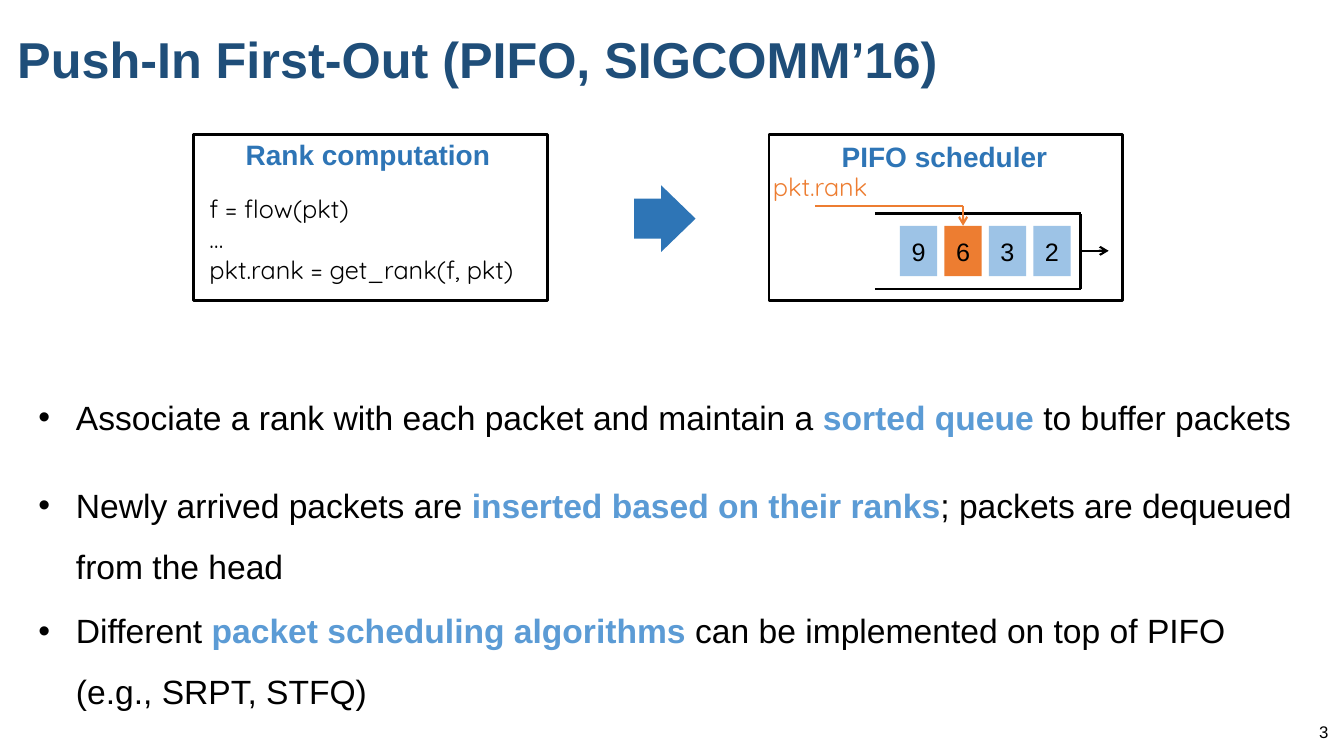
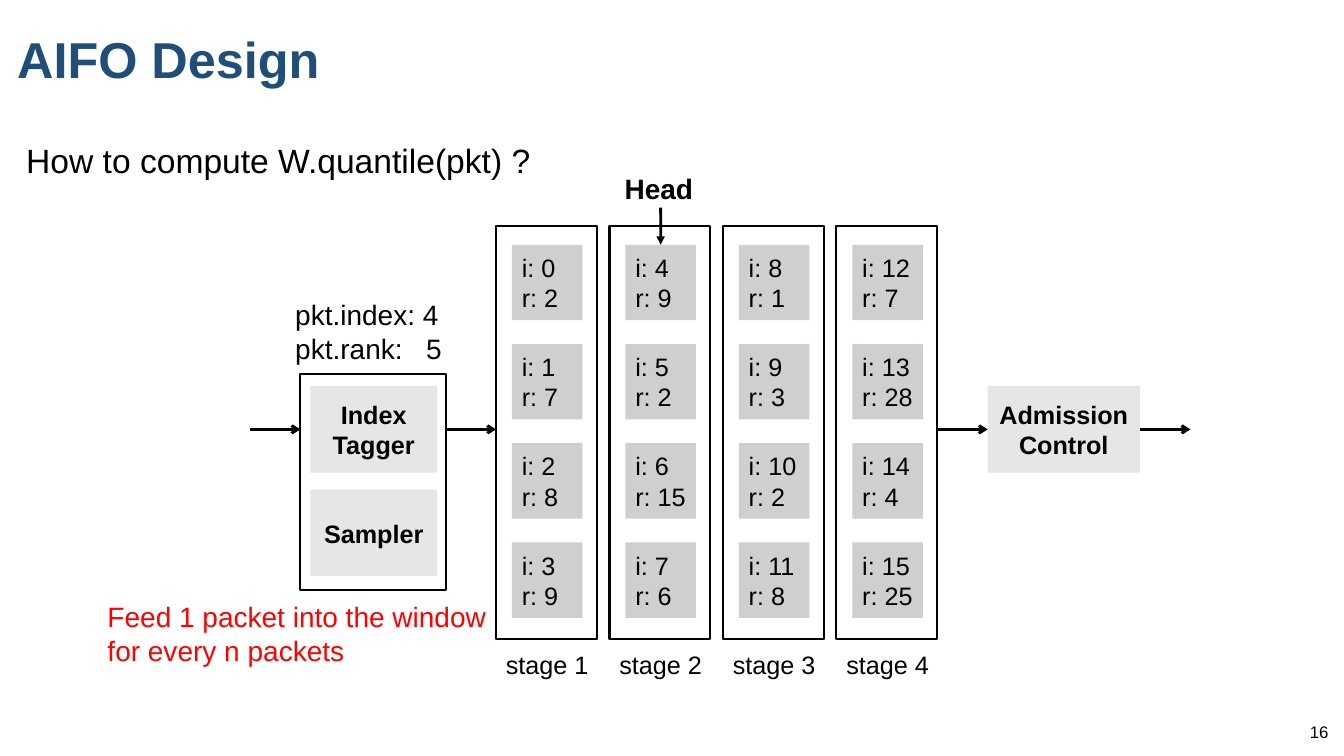
"""Build two slides on PIFO and AIFO packet scheduling."""
import pptx
import pptx.util
import pptx.dml.color
import pptx.enum.shapes
import pptx.enum.text
import pptx.oxml.ns
from lxml import etree

Cm, Pt = pptx.util.Cm, pptx.util.Pt
SHAPE = pptx.enum.shapes.MSO_SHAPE
ALIGN = pptx.enum.text.PP_ALIGN
ANCHOR = pptx.enum.text.MSO_ANCHOR
AUTO = pptx.enum.text.MSO_AUTO_SIZE
qn = pptx.oxml.ns.qn

COLORS = {
    "black": "000000", "title": "1F4E79", "heading": "2E75B6",
    "accent": "5B9BD5", "packet": "9DC3E6", "orange": "ED7D31",
    "cell": "D0CECE", "module": "E7E6E6", "red": "FF0000",
}
TOP, LEFT, RIGHT = 0, 1, 3


def rgb(name):
    return pptx.dml.color.RGBColor.from_string(COLORS[name])


class Deck:
    """Hold the shared style and the current slide."""

    def __init__(self):
        self.prs = pptx.Presentation()
        self.prs.slide_width, self.prs.slide_height = Cm(33.87), Cm(19.05)
        self.s = None

    def slide(self, layout, title, number):
        self.s = self.prs.slides.add_slide(self.prs.slide_layouts[layout])
        tf = self.place(self.s.shapes.title, 0.18, -0.28, 31.19, 3.68)
        tf.vertical_anchor = ANCHOR.MIDDLE
        p = tf.paragraphs[0]
        p.alignment, p.line_spacing = ALIGN.LEFT, 0.9
        self.run(p, title, 36, "title", True)
        tf = self.text([number], 26.11, 17.93, 7.62, 1.02, 12)
        tf.vertical_anchor = ANCHOR.MIDDLE
        tf.paragraphs[0].alignment = ALIGN.RIGHT

    def place(self, sp, x, y, w, h):
        sp.left, sp.top, sp.width, sp.height = Cm(x), Cm(y), Cm(w), Cm(h)
        tf = sp.text_frame
        tf.word_wrap, tf.auto_size = True, AUTO.NONE
        return tf

    def run(self, p, text, size, color="black", bold=False, font="Arial"):
        r = p.add_run()
        r.text = text
        r.font.size, r.font.bold, r.font.name = Pt(size), bold, font
        r.font.color.rgb = rgb(color)

    def lines(self, tf, lines, *style, align=ALIGN.LEFT):
        for i, line in enumerate(lines):
            p = tf.add_paragraph() if i else tf.paragraphs[0]
            p.alignment = align
            self.run(p, line, *style)

    def text(self, lines, x, y, w, h, *style):
        tf = self.s.shapes.add_textbox(Cm(x), Cm(y), Cm(w), Cm(h)).text_frame
        tf.word_wrap, tf.auto_size = False, AUTO.SHAPE_TO_FIT_TEXT
        self.lines(tf, lines, *style)
        return tf

    def bullets(self, items, x, y, w, h):
        tf = self.place(self.s.placeholders[1], x, y, w, h)
        tf.vertical_anchor = ANCHOR.TOP
        for i, (before, key, after, gap) in enumerate(items):
            p = tf.add_paragraph() if i else tf.paragraphs[0]
            pPr = p._p.get_or_add_pPr()
            pPr.set("marL", str(Cm(0.95)))
            pPr.set("indent", str(-Cm(0.95)))
            etree.SubElement(pPr, qn("a:buChar"), char="•")
            p.line_spacing, p.space_before = 1.5, Pt(gap)
            self.run(p, before, 24)
            self.run(p, key, 24, "accent", True)
            self.run(p, after, 24)

    def shape(self, x, y, w, h, fill=None, line=None, kind=SHAPE.RECTANGLE):
        sp = self.s.shapes.add_shape(kind, Cm(x), Cm(y), Cm(w), Cm(h))
        sp.shadow.inherit = False
        if fill:
            sp.fill.solid()
            sp.fill.fore_color.rgb = rgb(fill)
        else:
            sp.fill.background()
        if line:
            sp.line.color.rgb, sp.line.width = rgb("black"), Pt(line)
        else:
            sp.line.fill.background()
        return sp

    def box(self, lines, x, y, w, h, fill, bold=False, align=ALIGN.CENTER):
        sp = self.shape(x, y, w, h, fill)
        tf = sp.text_frame
        tf.vertical_anchor = ANCHOR.MIDDLE
        if align == ALIGN.LEFT:
            tf.margin_right = 0
        self.lines(tf, lines, 18, "black", bold, align=align)
        return sp

    def line(self, x1, y1, x2, y2, width=1.5, color="black", head=None,
             begin=None, end=None):
        c = self.s.shapes.add_connector(
            pptx.enum.shapes.MSO_CONNECTOR.STRAIGHT,
            Cm(x1), Cm(y1), Cm(x2), Cm(y2))
        if begin:
            c.begin_connect(*begin)
        if end:
            c.end_connect(*end)
        c.line.color.rgb, c.line.width = rgb(color), Pt(width)
        if head:
            etree.SubElement(c.line._get_or_add_ln(), qn("a:tailEnd"), type=head)
        etree.SubElement(c._element.spPr, qn("a:effectLst"))


def pifo(d):
    d.slide(1, "Push-In First-Out (PIFO, SIGCOMM’16)", "3")
    d.bullets([
        ("Associate a rank with each packet and maintain a ",
         "sorted queue ", "to buffer packets", 0),
        ("Newly arrived packets are ", "inserted based on their ranks",
         "; packets are dequeued from the head", 20),
        ("Different ", "packet scheduling algorithms ",
         "can be implemented on top of PIFO (e.g., SRPT, STFQ)", 3),
    ], 0.71, 9.36, 32.44, 8.7)

    for x in (4.88, 19.38):
        d.shape(x, 3.39, 8.92, 4.19, line=2)
    d.text(["Rank computation"], 5.94, 3.35, 6.73, 1.12, 20, "heading", True)
    d.text(["PIFO scheduler"], 20.96, 3.38, 5.74, 1.12, 20, "heading", True)
    d.text(["f = flow(pkt)", "…", "pkt.rank = get_rank(f, pkt)"],
           5.03, 4.75, 8.53, 2.57, 18, "black", False, "Quicksand")
    d.text(["pkt.rank"], 19.23, 4.19, 3.12, 1.02, 18, "orange", False, "Quicksand")
    arrow = d.shape(15.98, 4.67, 1.55, 1.68, "heading", kind=SHAPE.RIGHT_ARROW)
    arrow.adjustments[0], arrow.adjustments[1] = 0.6, 0.56

    left, right, top, bottom = 22.05, 27.23, 5.38, 7.29
    d.line(left, top, right, top)
    d.line(left, bottom, right, bottom)
    d.line(right, bottom, right, top)
    d.line(right, 6.32, 27.94, 6.32, head="arrow")

    packets = {}
    for i, rank in enumerate("9632"):
        fill = "orange" if rank == "6" else "packet"
        packets[rank] = d.box([rank], 22.68 + 1.12 * i, 5.69, 0.94, 1.27, fill)
    d.line(20.55, 5.18, 24.27, 5.18, color="orange")
    d.line(24.27, 5.18, 24.27, 5.69, color="orange", head="arrow",
           end=(packets["6"], TOP))


def aifo(d):
    d.slide(5, "AIFO Design", "16")
    d.text(["How to compute W.quantile(pkt) ?"], 0.41, 3.4, 13.34, 1.27, 24)

    stages = [(2, 7, 8, 9), (9, 2, 15, 6), (1, 3, 2, 8), (7, 28, 4, 25)]
    cells = []
    for i, ranks in enumerate(stages):
        x = 12.5 + 2.86 * i
        d.shape(x, 5.69, 2.54, 10.41, line=1.5)
        d.text([f"stage {i + 1}"], x, 16.23, 2.62, 1.02, 18)
        for j, rank in enumerate(ranks):
            cells.append(d.box([f"i: {len(cells)}", f"r: {rank}"], x + 0.4,
                               6.17 + 2.5 * j, 1.78, 1.9, "cell",
                               align=ALIGN.LEFT))
    d.text(["Head"], 15.49, 4.19, 2.26, 1.12, 20, "black", True)
    d.line(16.65, 5.23, 16.65, 6.17, 2, head="triangle", end=(cells[4], TOP))

    d.shape(7.57, 9.42, 3.68, 5.44, line=1.5)
    d.box(["Index", "Tagger"], 7.82, 9.73, 3.2, 2.18, "module", True)
    d.box(["Sampler"], 7.82, 12.34, 3.2, 2.18, "module", True)
    admission = d.box(["Admission", "Control"], 24.89, 9.73, 3.84, 2.18,
                      "module", True)
    y = 10.82
    d.line(6.3, y, 7.57, y, 2, head="arrow")
    d.line(11.25, y, 12.5, y, 2, head="arrow")
    d.line(23.62, y, 24.89, y, 2, head="arrow", end=(admission, LEFT))
    d.line(28.73, y, 30, y, 2, head="arrow", begin=(admission, RIGHT))

    tf = d.text(["pkt.index: 4", "pkt.rank:\t5"], 7.19, 7.37, 4.22, 1.96, 20)
    tabs = etree.SubElement(tf.paragraphs[1]._p.get_or_add_pPr(), qn("a:tabLst"))
    etree.SubElement(tabs, qn("a:tab"), pos=str(Cm(3.3)), algn="l")
    d.text(["Feed 1 packet into the window", "for every n packets"],
           2.46, 14.99, 10.34, 1.96, 20, "red")


def main():
    d = Deck()
    pifo(d)
    aifo(d)
    d.prs.save("out.pptx")


if __name__ == "__main__":
    main()
